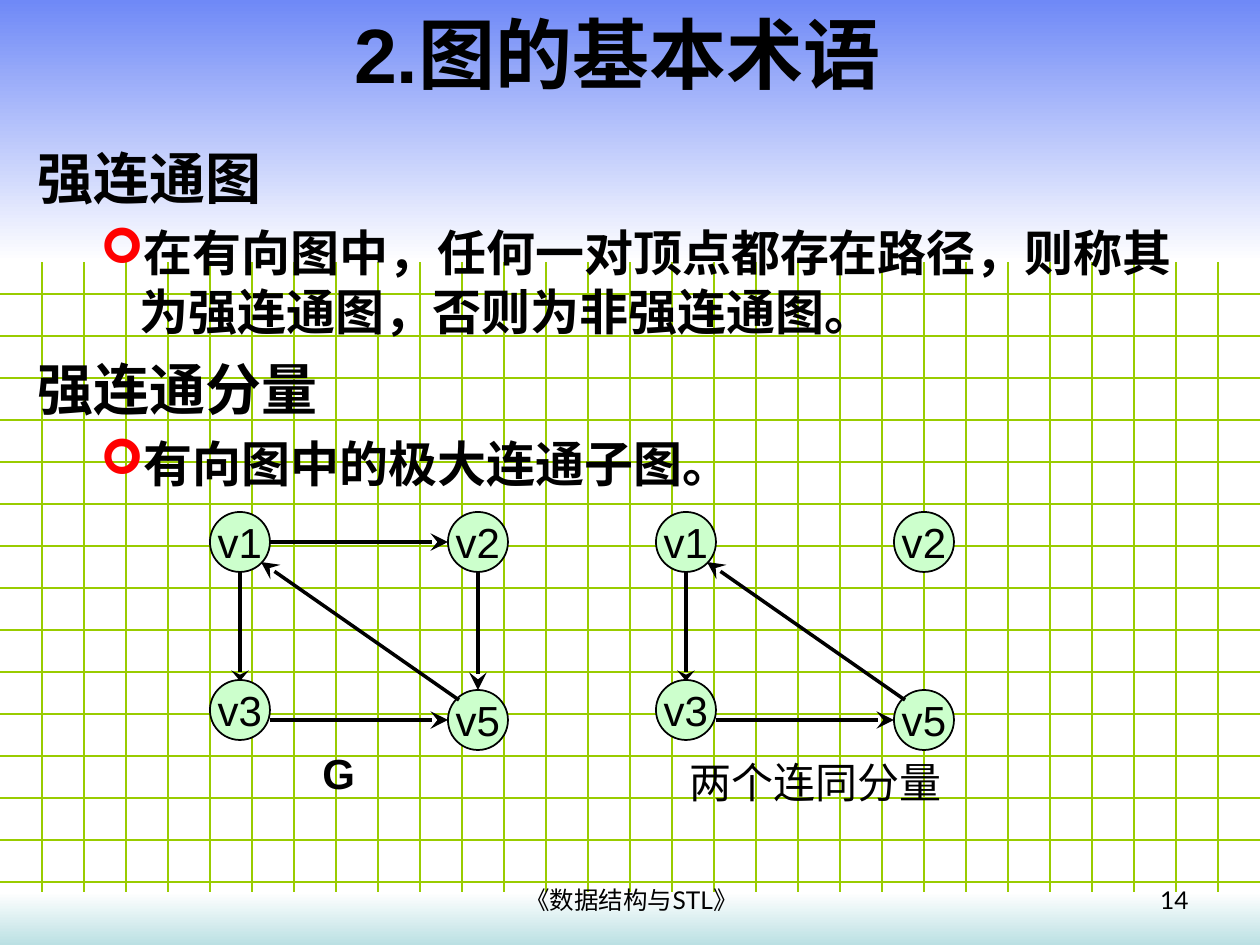
from pptx import Presentation
from pptx.dml.color import RGBColor
from pptx.enum.shapes import MSO_CONNECTOR as Line, MSO_SHAPE as Shape
from pptx.enum.text import MSO_ANCHOR as Anchor, PP_ALIGN as Align
from pptx.oxml.ns import qn
from pptx.util import Pt
from lxml.etree import SubElement

PX = 914400 / 126
WIDTH, HEIGHT = 1260, 945


class Theme:
    black = RGBColor.from_string("000000")
    white = RGBColor.from_string("FFFFFF")
    grid = RGBColor.from_string("99CC00")
    sky = RGBColor.from_string("6F89F7")
    water = RGBColor.from_string("BBE0E3")
    node = RGBColor.from_string("CCFFCC")
    bullet = "FF0000"
    font, footer_font = "Arial", "Lato"
    title, heading, point, label, footer = 44, 32, 28, 24, 14


def add_line(start, end, color, width):
    ends = [round(v * PX) for v in (*start, *end)]
    line = page.shapes.add_connector(Line.STRAIGHT, *ends)
    line.line.color.rgb = color
    line.line.width = Pt(width)
    SubElement(line._element.spPr, qn("a:effectLst"))
    return line


def add_text(frame, text, size, bold=False, align=Align.LEFT, font=Theme.font):
    para = frame.paragraphs[0]
    if para.runs:
        para = frame.add_paragraph()
    para.add_run().text = text
    para.alignment = align
    para.font.size = Pt(size)
    para.font.bold = bold
    para.font.name = font
    para.font.color.rgb = Theme.black
    return para


deck = Presentation()
deck.slide_width, deck.slide_height = round(WIDTH * PX), round(HEIGHT * PX)
page = deck.slides.add_slide(deck.slide_layouts[6])

# Background grid
STEP = 42
for y in range(STEP, HEIGHT, STEP):
    add_line((0, y), (WIDTH, y), Theme.grid, 0.75)
for x in range(STEP, WIDTH, STEP):
    add_line((x, 0), (x, HEIGHT), Theme.grid, 0.75)

# Gradient bands at top and bottom
for top, height, upper, lower in [
    (0, 262, Theme.sky, Theme.white),
    (892, 53, Theme.white, Theme.water),
]:
    band = page.shapes.add_shape(
        Shape.RECTANGLE, 0, round(top * PX), deck.slide_width, round(height * PX))
    band.shadow.inherit = False
    band.line.fill.background()
    band.fill.gradient()
    band.fill.gradient_angle = 270
    for stop, color in zip(band.fill.gradient_stops, (upper, lower)):
        stop.color.rgb = color

# Title, footer, page number and graph captions
for area, text, size, bold, align, font, anchor in [
    ((0, 0, 1235, 106), "2.图的基本术语", Theme.title, True, Align.CENTER,
     Theme.font, Anchor.MIDDLE),
    ((907, 879, 294, 45), "14", Theme.footer, False, Align.RIGHT,
     Theme.footer_font, Anchor.TOP),
    ((432, 879, 399, 45), "《数据结构与STL》", Theme.footer, False, Align.CENTER,
     Theme.footer_font, Anchor.TOP),
    ((310, 741, 89, 63), "G", Theme.label, True, Align.LEFT,
     Theme.font, Anchor.TOP),
    ((677, 750, 277, 63), "两个连同分量", Theme.label, False, Align.LEFT,
     Theme.font, Anchor.TOP),
]:
    box = page.shapes.add_textbox(*[round(v * PX) for v in area])
    box.text_frame.word_wrap = True
    box.text_frame.vertical_anchor = anchor
    add_text(box.text_frame, text, size, bold, align, font)

# Definitions
body = page.shapes.add_textbox(*[round(v * PX) for v in (25, 137, 1201, 732)])
body.text_frame.word_wrap = True
for index, (heading, point) in enumerate([
    ("强连通图", "在有向图中，任何一对顶点都存在路径，则称其为强连通图，否则为非强连通图。"),
    ("强连通分量", "有向图中的极大连通子图。"),
]):
    para = add_text(body.text_frame, heading, Theme.heading, True)
    if index:
        para.space_before = Pt(8)

    para = body.text_frame.add_paragraph()
    para.level = 1
    props = para._p.get_or_add_pPr()
    props.set("marL", str(round(102 * PX)))
    props.set("indent", str(round(-39 * PX)))
    color = SubElement(props, qn("a:buClr"))
    SubElement(color, qn("a:srgbClr"), val=Theme.bullet)
    SubElement(props, qn("a:buFont"), typeface="Wingdings")
    SubElement(props, qn("a:buChar"), char="➢")
    para.space_before = Pt(7)
    para.add_run().text = point
    para.font.size = Pt(Theme.point)
    para.font.bold = True
    para.font.name = Theme.font
    para.font.color.rgb = Theme.black

# Graph and its strongly connected components
NODE = 60
nodes = {"v1": (210, 512), "v3": (210, 680), "v2": (448, 512), "v5": (448, 690)}
down = ((240, 572), (240, 681), "med")
back = ((459, 700), (261, 562), "lg")
across = ((270, 720), (448, 720), "lg")
top_edge = ((270, 542), (448, 542), "lg")
right_edge = ((478, 572), (478, 690), "lg")

for shift, edges in [
    (0, [down, top_edge, across, back, right_edge]),
    (446, [down, across, back]),
]:
    for name, (x, y) in nodes.items():
        node = page.shapes.add_shape(
            Shape.OVAL, *[round(v * PX) for v in (x + shift, y, NODE, NODE)])
        node.shadow.inherit = False
        node.fill.solid()
        node.fill.fore_color.rgb = Theme.node
        node.line.color.rgb = Theme.black
        node.line.width = Pt(1)
        node.text_frame.word_wrap = False
        node.text_frame.vertical_anchor = Anchor.MIDDLE
        add_text(node.text_frame, name, Theme.label, align=Align.CENTER)
    for (x1, y1), (x2, y2), length in edges:
        arrow = add_line((x1 + shift, y1), (x2 + shift, y2), Theme.black, 2)
        SubElement(arrow.line._get_or_add_ln(), qn("a:tailEnd"),
                   type="stealth", w="lg", len=length)

deck.save("out.pptx")
